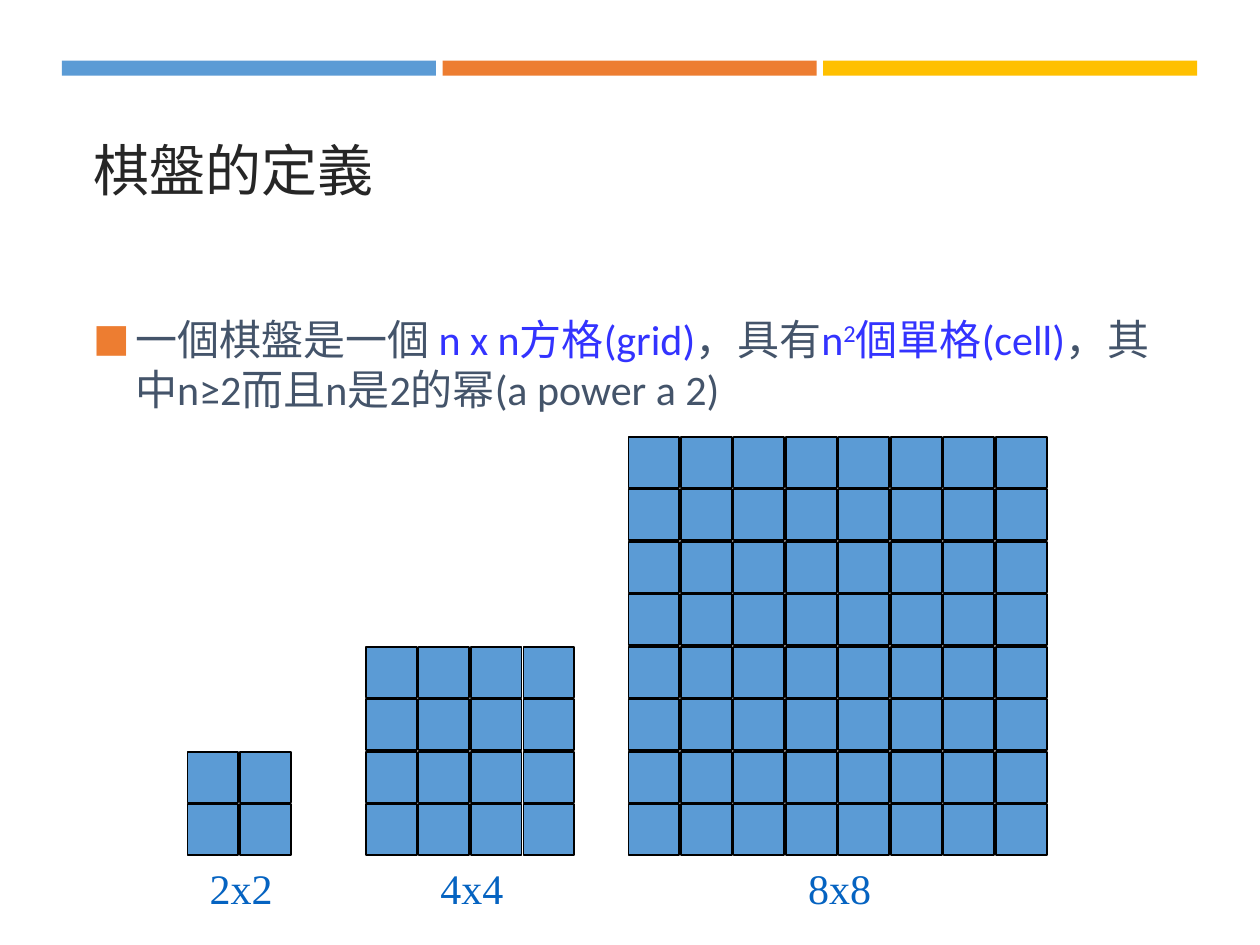
from lxml.etree import SubElement
from pptx import Presentation
from pptx.dml.color import RGBColor
from pptx.enum.shapes import MSO_SHAPE
from pptx.enum.text import MSO_ANCHOR, MSO_AUTO_SIZE, PP_ALIGN
from pptx.oxml.ns import qn
from pptx.util import Pt

BLUE = RGBColor(0x5B, 0x9B, 0xD5)
ORANGE = RGBColor(0xED, 0x7D, 0x31)
GOLD = RGBColor(0xFF, 0xC0, 0x00)
BLACK = RGBColor(0x00, 0x00, 0x00)
INK = RGBColor(0x26, 0x26, 0x26)
SLATE = RGBColor(0x44, 0x54, 0x6A)
ACCENT = RGBColor(0x33, 0x33, 0xFF)
LABEL = RGBColor(0x05, 0x63, 0xC1)


class SlideBuilder:
    sans = "Calibri"
    serif = "Times New Roman"
    text_size = 24
    cell = 29
    pitch = 30

    def __init__(self, page):
        self.page = page

    def rect(self, shapes, left, top, width, height, fill, line=None):
        box = shapes.add_shape(MSO_SHAPE.RECTANGLE, Pt(left), Pt(top), Pt(width), Pt(height))
        box.shadow.inherit = False
        box.fill.solid()
        box.fill.fore_color.rgb = fill
        if line is None:
            box.line.fill.background()
        else:
            box.line.color.rgb = line
            box.line.width = Pt(1)

    def span(self, para, text, font, size, color, superscript=False):
        span = para.add_run()
        span.text = text
        span.font.name = font
        span.font.size = Pt(size)
        span.font.color.rgb = color
        if superscript:
            span.font._element.set("baseline", "30000")

    def place(self, box, left, top, width, height, anchor):
        box.left, box.top, box.width, box.height = Pt(left), Pt(top), Pt(width), Pt(height)
        frame = box.text_frame
        frame.word_wrap = True
        frame.auto_size = MSO_AUTO_SIZE.NONE
        frame.vertical_anchor = anchor
        para = frame.paragraphs[0]
        para.alignment = PP_ALIGN.LEFT
        para.space_before = Pt(0)
        return para

    def title(self, text):
        para = self.place(self.page.shapes.title, 46, 54, 629, 85, MSO_ANCHOR.MIDDLE)
        self.span(para, text, self.sans, 32, INK)

    def bullet(self, spans):
        para = self.place(self.page.placeholders[1], 46, 175.5, 629, 286, MSO_ANCHOR.TOP)
        para.space_after = Pt(6)
        properties = para._p.get_or_add_pPr()
        properties.set("marL", str(Pt(24)))
        properties.set("indent", str(-Pt(24)))
        color = SubElement(properties, qn("a:buClr"))
        SubElement(color, qn("a:srgbClr"), val=str(ORANGE))
        SubElement(properties, qn("a:buSzPct"), val="92000")
        SubElement(properties, qn("a:buFont"), typeface=self.sans)
        SubElement(properties, qn("a:buChar"), char="■")
        for text, color, superscript in spans:
            self.span(para, text, self.sans, self.text_size, color, superscript)

    def board(self, count, left, bottom):
        group = self.page.shapes.add_group_shape()
        side = (count - 1) * self.pitch + self.cell
        for row in range(count):
            for column in range(count):
                self.rect(group.shapes, left + column * self.pitch,
                          bottom - side + row * self.pitch,
                          self.cell, self.cell, BLUE, BLACK)
        # Size label under the middle of the board
        box = group.shapes.add_textbox(0, 0, 0, 0)
        para = self.place(box, left + side / 2 - 24, bottom + 0.5, 60, 36, MSO_ANCHOR.TOP)
        self.span(para, f"{count}x{count}", self.serif, self.text_size, LABEL)


def main():
    deck = Presentation()
    deck.slide_width, deck.slide_height = Pt(720), Pt(540)
    page = deck.slides.add_slide(deck.slide_layouts[1])
    builder = SlideBuilder(page)

    # Colour band
    for index, color in enumerate((BLUE, ORANGE, GOLD)):
        builder.rect(page.shapes, 35.4 + index * 217.5, 34.7, 213.7, 8.5, color)

    # Title and definition
    builder.title("棋盤的定義")
    builder.bullet([
        ("一個棋盤是一個 ", SLATE, False),
        ("n x n方格(grid)", ACCENT, False),
        ("，具有", SLATE, False),
        ("n", ACCENT, False),
        ("2", ACCENT, True),
        ("個單格(cell)", ACCENT, False),
        ("，其中n≥2而且n是2的幂(a power a 2)", SLATE, False),
    ])

    # Boards standing on one line
    for count, left in ((2, 107.2), (4, 209.1), (8, 359.2)):
        builder.board(count, left, 488.6)

    deck.save("out.pptx")


if __name__ == "__main__":
    main()
